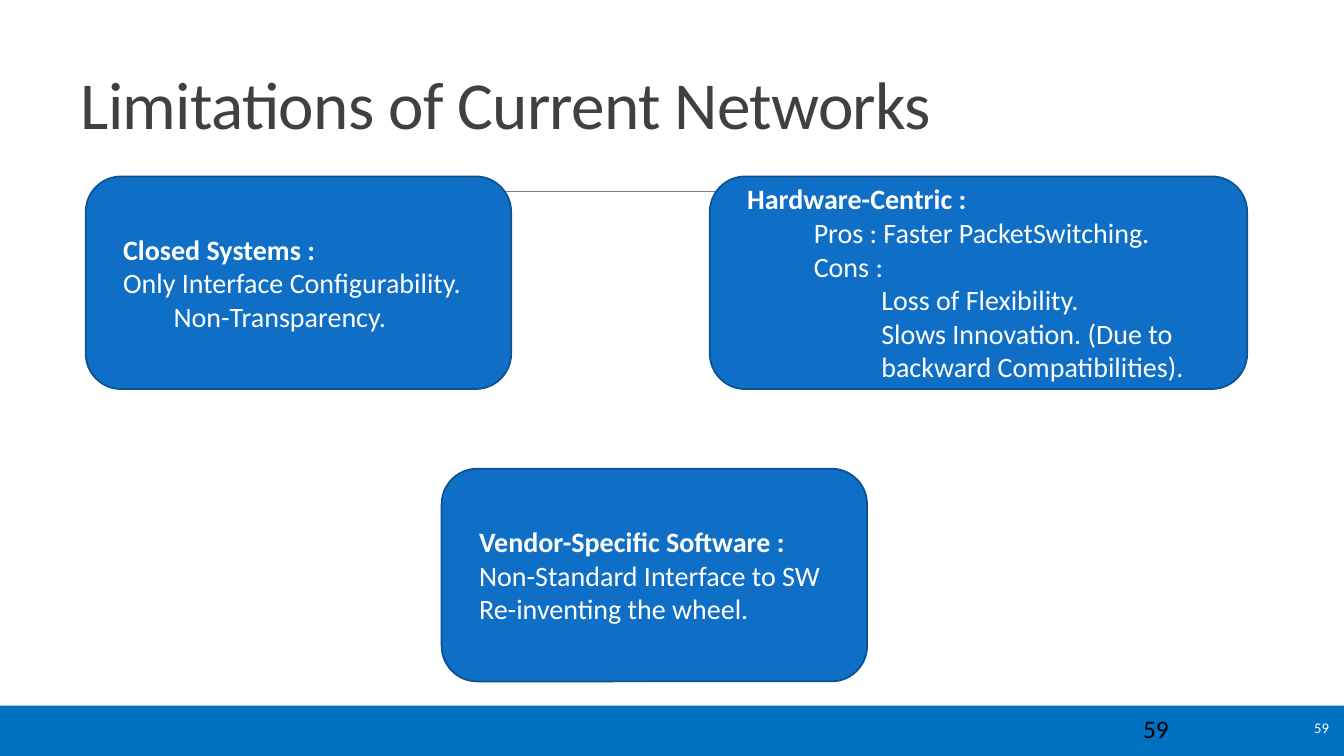
from pptx import Presentation
from pptx.dml.color import RGBColor
from pptx.enum.shapes import MSO_CONNECTOR, MSO_SHAPE
from pptx.enum.text import MSO_ANCHOR, MSO_AUTO_SIZE, PP_ALIGN
from pptx.oxml.ns import qn
from pptx.util import Inches, Pt
from lxml import etree

WHITE = RGBColor(0xFF, 0xFF, 0xFF)
BLACK = RGBColor(0, 0, 0)
TITLE_GRAY = RGBColor(0x40, 0x40, 0x40)
RULE_GRAY = RGBColor(0x80, 0x80, 0x80)
FOOTER_BLUE = RGBColor(0x00, 0x70, 0xC0)
CARD_BLUE = RGBColor(0x0F, 0x6F, 0xC6)
CARD_EDGE = RGBColor(0x0B, 0x52, 0x92)

TITLE = "Limitations of Current Networks"
PAGE = "59"
CARD_HEIGHT = 2.11
# left, top, width, heading, [(level, text)]
CARDS = [
    (0.85, 1.75, 4.22, "Closed Systems :",
     [(0, "Only Interface Configurability."), (0, "\tNon-Transparency.")]),
    (7.04, 1.75, 5.33, "Hardware-Centric :",
     [(1, "Pros : Faster PacketSwitching."), (1, "Cons :"),
      (2, "Loss of Flexibility."),
      (2, "Slows Innovation. (Due to backward Compatibilities).")]),
    (4.38, 4.65, 4.22, "Vendor-Specific Software :",
     [(0, "Non-Standard Interface to SW"), (0, "Re-inventing the wheel.")]),
]
# left margin and first-line indent of each level
INDENTS = [(0.67, -0.5), (0.83, 0), (1.5, 0)]
# left, top, width, height, inset, anchor, alignment, size, colour
PAGE_NUMBERS = [
    (11.24, 7.03, 1.43, 0.4, 0.1, MSO_ANCHOR.TOP, PP_ALIGN.LEFT, 18, BLACK),
    (12.48, 6.93, 0.8, 0.57, 0.1, MSO_ANCHOR.MIDDLE, PP_ALIGN.RIGHT, 10.5, WHITE),
]


def add_run(p, text, size, color, bold=False):
    r = p.add_run()
    r.text = text
    for name, value in {"name": "Calibri", "size": Pt(size), "bold": bold}.items():
        setattr(r.font, name, value)
    r.font.color.rgb = color
    return r


def set_frame(tf, anchor, inset_x, inset_y):
    values = {"word_wrap": True, "auto_size": MSO_AUTO_SIZE.NONE,
              "vertical_anchor": anchor,
              "margin_left": Inches(inset_x), "margin_right": Inches(inset_x),
              "margin_top": Inches(inset_y), "margin_bottom": Inches(inset_y)}
    for name, value in values.items():
        setattr(tf, name, value)


def add_block(s, kind, box, fill):
    sp = s.shapes.add_shape(kind, *map(Inches, box))
    sp.shadow.inherit = False
    sp.fill.solid()
    sp.fill.fore_color.rgb = fill
    sp.line.fill.background()
    return sp


def add_card(s, left, top, width, heading, lines):
    sp = add_block(s, MSO_SHAPE.ROUNDED_RECTANGLE,
                   (left, top, width, CARD_HEIGHT), CARD_BLUE)
    sp.line.color.rgb = CARD_EDGE
    sp.line.width = Pt(1.25)
    tf = sp.text_frame
    set_frame(tf, MSO_ANCHOR.MIDDLE, 0.1, 0.05)
    for i, (level, text) in enumerate([(0, heading)] + lines):
        p = tf.paragraphs[0] if i == 0 else tf.add_paragraph()
        p.level = level
        p.alignment = PP_ALIGN.LEFT
        margin, indent = INDENTS[level]
        pPr = p._p.get_or_add_pPr()
        pPr.set("marL", str(Inches(margin)))
        pPr.set("indent", str(Inches(indent)))
        add_run(p, text, 20, WHITE, bold=i == 0)


def add_title(s):
    title = s.shapes.title
    box = zip(("left", "top", "width", "height"), (0.67, 0.3, 12, 1.25))
    for name, value in box:
        setattr(title, name, Inches(value))
    set_frame(title.text_frame, MSO_ANCHOR.BOTTOM, 0.13, 0.13)
    p = title.text_frame.paragraphs[0]
    p.alignment = PP_ALIGN.LEFT
    p.line_spacing = 0.85
    r = add_run(p, TITLE, 48, TITLE_GRAY)
    r.font._element.set("spc", "-50")


def add_rule(s):
    line = s.shapes.add_connector(MSO_CONNECTOR.STRAIGHT, Inches(1.31), Inches(1.9),
                                  Inches(12.21), Inches(1.9))
    line.line.color.rgb = RULE_GRAY
    line.line.width = Pt(0.5)
    etree.SubElement(line._element.spPr, qn("a:effectLst"))


def main():
    prs = Presentation()
    prs.slide_width, prs.slide_height = Inches(13.33), Inches(7.5)
    s = prs.slides.add_slide(prs.slide_layouts[5])
    add_title(s)
    add_rule(s)
    add_block(s, MSO_SHAPE.RECTANGLE, (0, 7, 13.33, 0.5), FOOTER_BLUE)
    for card in CARDS:
        add_card(s, *card)
    for *box, inset, anchor, align, size, color in PAGE_NUMBERS:
        tf = s.shapes.add_textbox(*map(Inches, box)).text_frame
        set_frame(tf, anchor, inset, 0.05)
        p = tf.paragraphs[0]
        p.alignment = align
        add_run(p, PAGE, size, color)
    prs.save("out.pptx")


if __name__ == "__main__":
    main()
